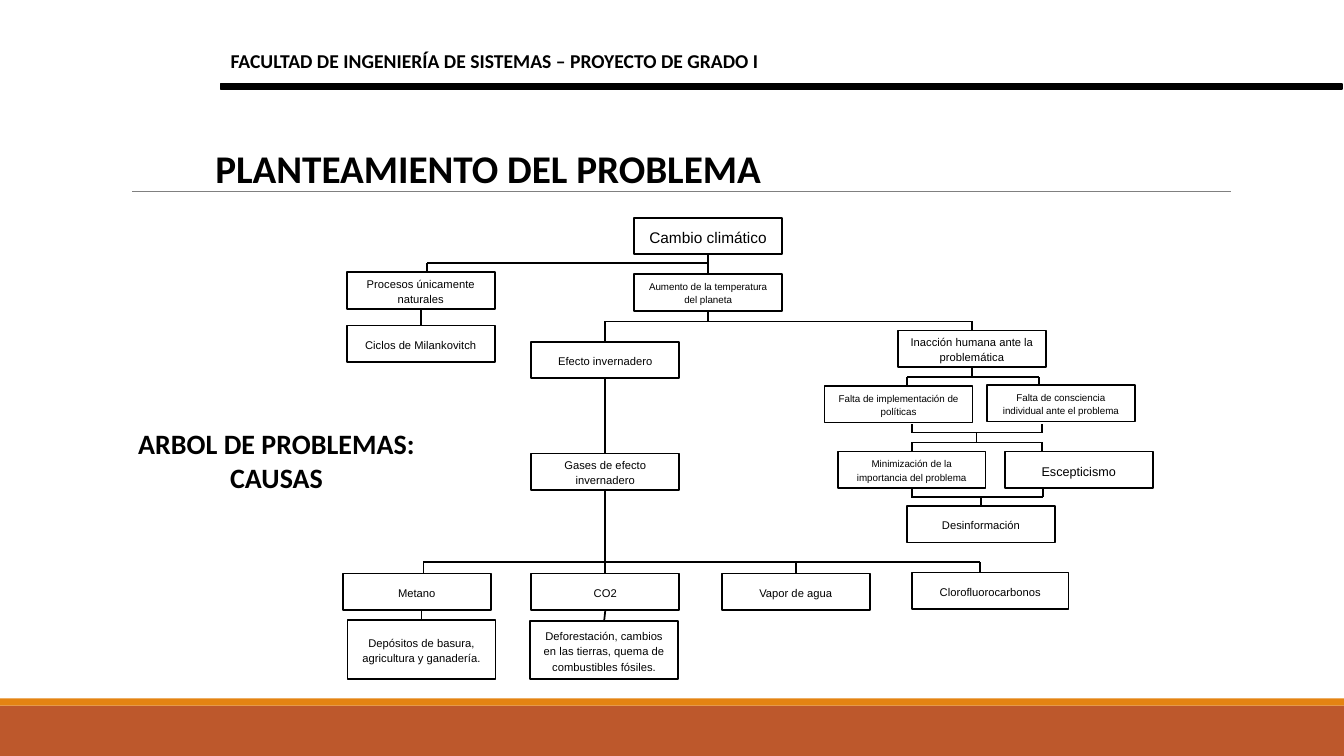
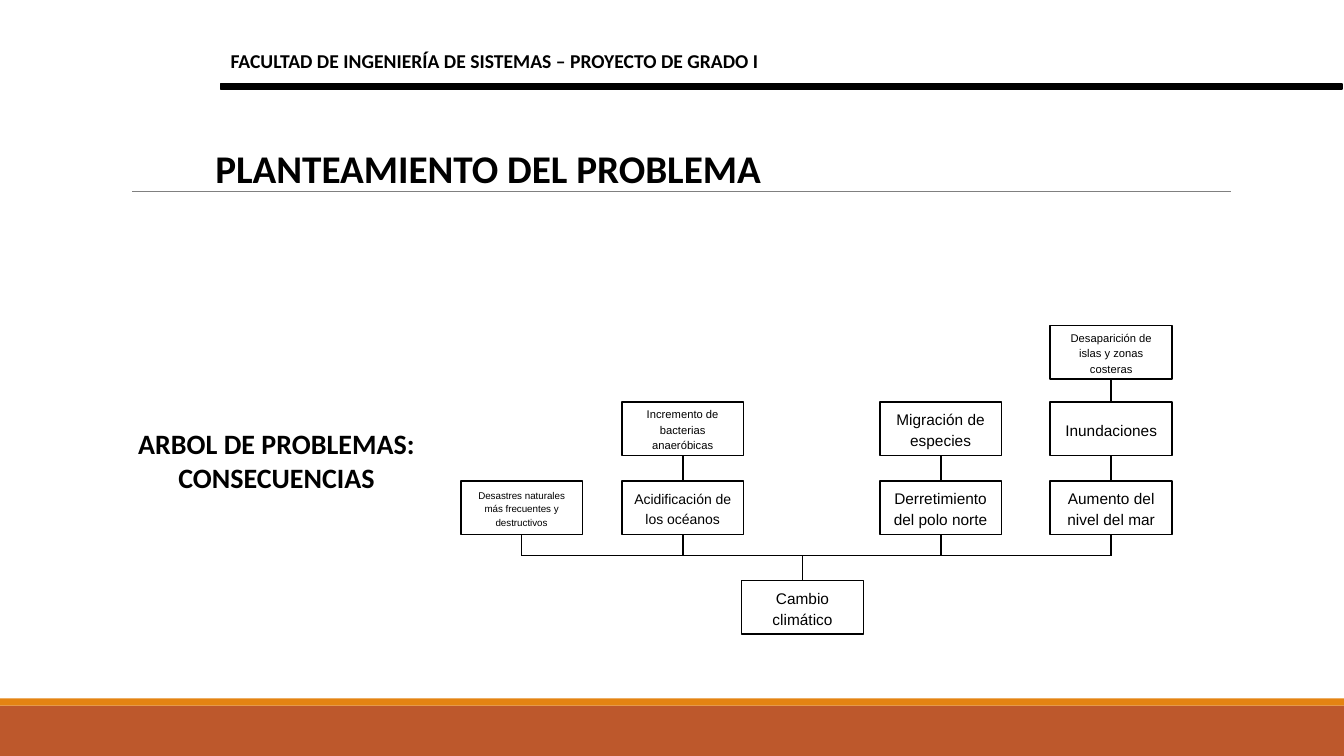
import dataclasses

import lxml.etree
import pptx
import pptx.dml.color
import pptx.enum.shapes
import pptx.enum.text
import pptx.oxml.ns
import pptx.util

Cm = pptx.util.Cm
Pt = pptx.util.Pt
CENTER = pptx.enum.text.PP_ALIGN.CENTER
MIDDLE = pptx.enum.text.MSO_ANCHOR.MIDDLE
TOP, BOTTOM = 0, 2


@dataclasses.dataclass(frozen=True)
class Theme:
    ink: str = "000000"
    paper: str = "FFFFFF"
    band: str = "BD582C"
    stripe: str = "E48312"
    rule: str = "808080"
    heading_font: str = "Calibri"
    node_font: str = "Arial"
    title_size: int = 28
    subject_size: int = 20
    header_size: int = 14
    node_line: float = 1.25
    rule_line: float = 0.5
    node_spacing: float = 1.15


THEME = Theme()

# key: (text, type size, left, top[, width, height]), lengths in cm
CAUSES = {
    "climate": ("Cambio climático", 11, 15.98, 5.49),
    "warming": ("Aumento de la temperatura del planeta", 7, 15.98, 6.91),
    "natural": ("Procesos únicamente naturales", 8, 8.74, 6.86),
    "cycles": ("Ciclos de Milankovitch", 8, 8.74, 8.2),
    "greenhouse": ("Efecto invernadero", 8, 13.39, 8.61),
    "gases": ("Gases de efecto invernadero", 8, 13.39, 11.43),
    "inaction": ("Inacción humana ante la problemática", 8, 22.63, 8.33),
    "policies": ("Falta de implementación de políticas", 7, 20.78, 9.73),
    "awareness": ("Falta de consciencia individual ante el problema", 7, 24.87, 9.7),
    "belittling": ("Minimización de la importancia del problema", 7, 21.11, 11.38),
    "scepticism": ("Escepticismo", 9, 25.32, 11.38),
    "disinformation": ("Desinformación", 8, 22.86, 12.75),
    "methane": ("Metano", 8, 8.64, 14.45),
    "carbon": ("CO2", 8, 13.39, 14.45),
    "vapour": ("Vapor de agua", 8, 18.19, 14.45),
    "chlorofluorocarbons": ("Clorofluorocarbonos", 8, 22.99, 14.43, 3.94, 0.92),
    "waste": ("Depósitos de basura, agricultura y ganadería.", 8, 8.76, 15.62, 3.73, 1.5),
    "deforestation": (
        "Deforestación, cambios en las tierras, quema de combustibles fósiles.",
        8, 13.36, 15.65, 3.73, 1.47),
}

# column left: boxes from the bottom up
CONSEQUENCES = {
    11.61: [("Desastres naturales más frecuentes y destructivos", 7)],
    15.67: [("Acidificación de los océanos", 10),
            ("Incremento de bacterias anaeróbicas", 8)],
    22.17: [("Derretimiento del polo norte", 11), ("Migración de especies", 11)],
    26.47: [("Aumento del nivel del mar", 11), ("Inundaciones", 11),
            ("Desaparición de islas y zonas costeras", 8)],
}


def color(value):
    return pptx.dml.color.RGBColor.from_string(value)


def write(para, text, font, size, bold=False):
    span = para.add_run()
    span.text = text
    span.font.name = font
    span.font.size = Pt(size)
    span.font.bold = bold
    span.font.color.rgb = color(THEME.ink)


def add_rectangle(page, left, top, width, height, fill, line=None):
    box = page.shapes.add_shape(
        pptx.enum.shapes.MSO_SHAPE.RECTANGLE, Cm(left), Cm(top), Cm(width), Cm(height))
    box.shadow.inherit = False
    box.fill.solid()
    box.fill.fore_color.rgb = color(fill)
    if line:
        box.line.color.rgb = color(line)
        box.line.width = Pt(THEME.node_line)
    else:
        box.line.fill.background()
    return box


def add_node(page, text, size, left, top, width=3.73, height=0.92):
    box = add_rectangle(page, left, top, width, height, THEME.paper, THEME.ink)
    box.text_frame.word_wrap = True
    box.text_frame.vertical_anchor = MIDDLE
    para = box.text_frame.paragraphs[0]
    para.alignment = CENTER
    para.line_spacing = THEME.node_spacing
    write(para, text, THEME.node_font, size)
    return box


def add_heading(page, text, size, left, top, width, height, align=None):
    box = page.shapes.add_textbox(Cm(left), Cm(top), Cm(width), Cm(height))
    box.text_frame.word_wrap = True
    para = box.text_frame.paragraphs[0]
    para.alignment = align
    write(para, text, THEME.heading_font, size, bold=True)


def add_line(page, start, end, ink=THEME.ink, weight=THEME.node_line):
    """Draw a straight line between two (x, y) points given as lengths."""
    line = page.shapes.add_connector(
        pptx.enum.shapes.MSO_CONNECTOR.STRAIGHT, *start, *end)
    line.line.color.rgb = color(ink)
    line.line.width = Pt(weight)
    lxml.etree.SubElement(line.element.spPr, pptx.oxml.ns.qn("a:effectLst"))
    return line


def side_point(box, side):
    x = box.left + box.width // 2
    return x, box.top + (box.height if side == BOTTOM else 0)


def add_link(page, upper, lower):
    line = add_line(page, side_point(upper, BOTTOM), side_point(lower, TOP))
    line.begin_connect(upper, BOTTOM)
    line.end_connect(lower, TOP)


def add_stub(page, box, side, y):
    """Join the middle of a box side to the height of a bus."""
    start = side_point(box, side)
    add_line(page, start, (start[0], Cm(y))).begin_connect(box, side)


def add_bus(page, y, left, right, drops=()):
    """Draw a horizontal bus and its free drops, each an (x, end y) pair."""
    add_line(page, (Cm(left), Cm(y)), (Cm(right), Cm(y)))
    for x, end in drops:
        add_line(page, (Cm(x), Cm(y)), (Cm(x), Cm(end)))


def dress_layout(deck, layout):
    """Place the title and put the shared bands and rule on the layout."""
    title = layout.placeholders[0]
    title.left, title.top, title.width, title.height = map(Cm, (1.9, 3.5, 20.8, 1.45))
    page = deck.slides[0]
    rule_y = Cm(4.83)
    shared = [
        add_rectangle(page, 0, 17.78, 33.87, 1.27, THEME.band),
        add_rectangle(page, 0, 17.6, 33.87, 0.18, THEME.stripe),
        add_line(page, (Cm(3.33), rule_y), (Cm(31.01), rule_y),
                 THEME.rule, THEME.rule_line),
    ]
    for shape in shared:
        layout.shapes.element.append(shape.element)


def add_page(deck, layout, subject):
    page = deck.slides.add_slide(layout)
    frame = page.shapes.title.text_frame
    frame.auto_size = pptx.enum.text.MSO_AUTO_SIZE.NONE
    frame.vertical_anchor = MIDDLE
    frame.paragraphs[0].alignment = CENTER
    write(frame.paragraphs[0], "PLANTEAMIENTO DEL PROBLEMA",
          THEME.heading_font, THEME.title_size, bold=True)
    add_heading(page, "FACULTAD DE INGENIERÍA DE SISTEMAS – PROYECTO DE GRADO I",
                THEME.header_size, 5.56, 1.12, 28.27, 0.86)
    add_rectangle(page, 5.56, 2.11, 28.27, 0.13, THEME.ink, THEME.ink)
    add_heading(page, "ARBOL DE PROBLEMAS: " + subject, THEME.subject_size,
                2.02, 10.62, 9.9, 1.96, CENTER)
    return page


def draw_causes(page):
    nodes = {key: add_node(page, *node) for key, node in CAUSES.items()}
    for upper, lower in [("climate", "warming"), ("natural", "cycles"),
                         ("greenhouse", "gases"), ("gases", "carbon"),
                         ("carbon", "deforestation")]:
        add_link(page, nodes[upper], nodes[lower])
    for key, side, y in [("warming", BOTTOM, 8.1), ("greenhouse", TOP, 8.1),
                         ("inaction", TOP, 8.1), ("inaction", BOTTOM, 9.5),
                         ("belittling", TOP, 11.15), ("belittling", BOTTOM, 12.52),
                         ("disinformation", TOP, 12.52), ("vapour", TOP, 14.17),
                         ("waste", TOP, 15.35)]:
        add_stub(page, nodes[key], side, y)
    add_bus(page, 6.63, 10.77, 17.84, [(10.77, 6.86)])
    add_bus(page, 8.1, 15.25, 24.49)
    add_bus(page, 9.5, 22.86, 26.19, [(22.86, 9.73), (26.19, 9.7)])
    add_bus(page, 10.9, 22.99, 26.26, [(22.99, 10.69), (26.26, 10.69), (24.61, 11.15)])
    add_bus(page, 11.15, 22.97, 26.26, [(26.26, 11.38)])
    add_bus(page, 12.52, 22.97, 26.29, [(26.29, 12.3)])
    add_bus(page, 14.17, 10.67, 24.69, [(10.67, 14.45), (24.69, 14.43)])


def draw_consequences(page):
    width, height, bus_y = 3.07, 1.35, 14
    row_tops = (12.12, 10.13, 8.2)
    climate = add_node(page, "Cambio climático", 11, 18.69, 14.63, width, height)
    add_stub(page, climate, TOP, bus_y)
    for left, column in CONSEQUENCES.items():
        nodes = [add_node(page, text, size, left, top, width, height)
                 for (text, size), top in zip(column, row_tops)]
        add_stub(page, nodes[0], BOTTOM, bus_y)
        for lower, upper in zip(nodes, nodes[1:]):
            add_link(page, upper, lower)
    add_bus(page, bus_y, min(CONSEQUENCES) + width / 2, max(CONSEQUENCES) + width / 2)


def main():
    deck = pptx.Presentation()
    deck.slide_width, deck.slide_height = Cm(33.87), Cm(19.05)
    layout = deck.slide_layouts.get_by_name("Title Only")
    causes = add_page(deck, layout, "CAUSAS")
    consequences = add_page(deck, layout, "CONSECUENCIAS")
    dress_layout(deck, layout)
    draw_causes(causes)
    draw_consequences(consequences)
    deck.save("out.pptx")


if __name__ == "__main__":
    main()
